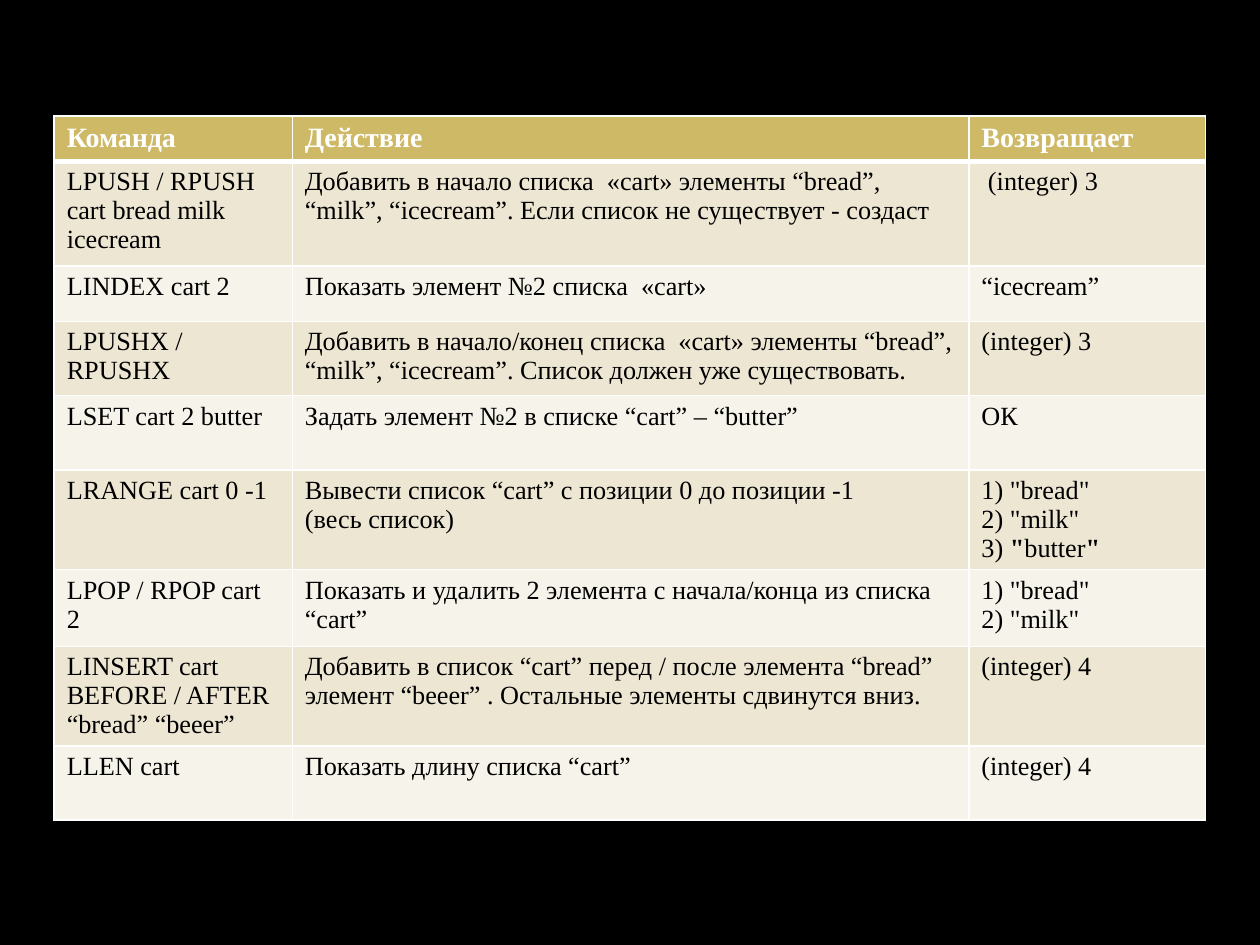
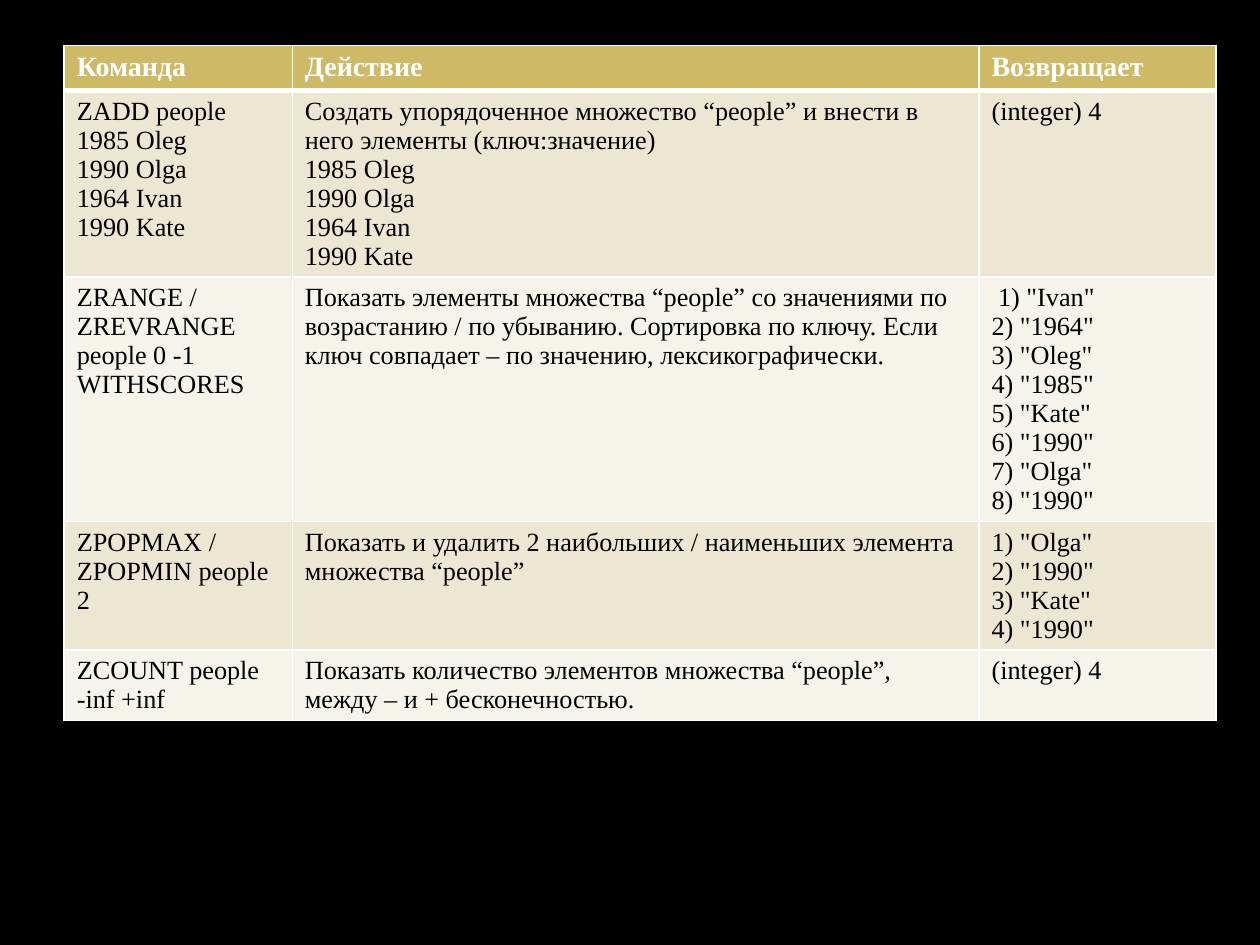
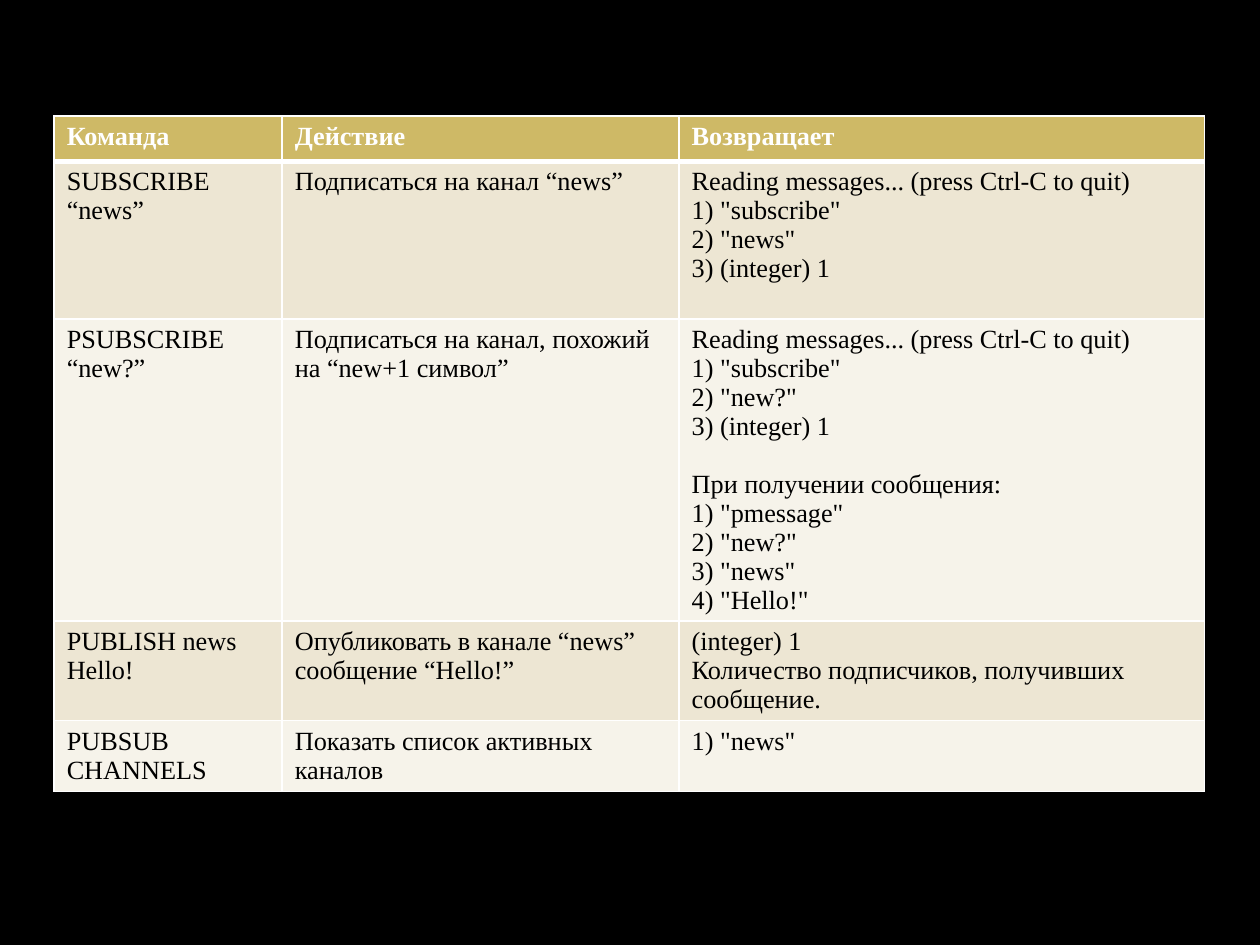
from lxml import etree
from pptx import Presentation
from pptx.dml.color import RGBColor as RGB
from pptx.oxml import parse_xml
from pptx.oxml.ns import nsdecls
from pptx.util import Inches, Pt

# Shared look
COLORS = {"bg": "000000", "header": "CEB966", "odd": "EDE6D3", "even": "F6F3EA",
          "rule": "FFFFFF", "header_text": "FFFFFF", "text": "000000"}
FONT = "Times New Roman"
BODY_SIZE = 15
HEADER = ["Команда", "Действие", "Возвращает"]


def set_borders(cell, widths):
    """Draw the left, right, top and bottom rules, widths in points."""
    tcPr = cell._tc.get_or_add_tcPr()
    for i, (side, width) in enumerate(zip("LRTB", widths)):
        tcPr.insert(i, parse_xml(
            f'<a:ln{side} {nsdecls("a")} w="{Pt(width)}"><a:solidFill>'
            f'<a:srgbClr val="{COLORS["rule"]}"/></a:solidFill></a:ln{side}>'))


def fill_cell(cell, text, size, color, bold):
    """Write one paragraph a line; *stars* mark bold, a leading ^ opens a gap."""
    tf = cell.text_frame
    for i, line in enumerate(text.split("\n")):
        p = tf.add_paragraph() if i else tf.paragraphs[0]
        p.font.name, p.font.size = FONT, Pt(size)
        p.font.color.rgb = RGB.from_string(color)
        if line.startswith("^"):
            p.space_before = Pt(16.5)
        for j, part in enumerate(line.lstrip("^").split("*")):
            if part:
                r = p.add_run()
                r.text = part
                r.font.bold = bold or j % 2 == 1


# Tables: position, header size, column widths, row heights, body rows
TABLES = [
    # List commands
    {"at": (0.43, 0.92), "header_size": 16, "cols": [1.89, 5.37, 1.88],
     "heights": [0.36, 0.83, 0.44, 0.59, 0.59, 0.79, 0.61, 0.79, 0.59],
     "rows": [
         ["LPUSH / RPUSH cart bread milk icecream",
          "Добавить в начало списка  «cart» элементы “bread”, “milk”, “icecream”. "
          "Если список не существует - создаст",
          " (integer) 3"],
         ["LINDEX cart 2", "Показать элемент №2 списка  «cart»", "“icecream”"],
         ["LPUSHX / RPUSHX",
          "Добавить в начало/конец списка  «cart» элементы “bread”, “milk”, “icecream”. "
          "Список должен уже существовать.",
          "(integer) 3"],
         ["LSET cart 2 butter", "Задать элемент №2 в списке “cart” – “butter”", "ОК"],
         ["LRANGE cart 0 -1",
          "Вывести список “cart” с позиции 0 до позиции -1\n(весь список)",
          '1) "bread"\n2) "milk"\n3) *"*butter*"*'],
         ["LPOP / RPOP cart 2",
          "Показать и удалить 2 элемента с начала/конца из списка “cart”",
          '1) "bread"\n2) "milk"'],
         ["LINSERT cart BEFORE / AFTER “bread” “beeer”",
          "Добавить в список “cart” перед / после элемента “bread” элемент “beeer” . "
          "Остальные элементы сдвинутся вниз.",
          "(integer) 4"],
         ["LLEN cart", "Показать длину списка “cart”", "(integer) 4"],
     ]},
    # Sorted set commands
    {"at": (0.51, 0.36), "header_size": 16, "cols": [1.81, 5.45, 1.88],
     "heights": [0.36, 1.48, 1.94, 1.02, 0.56],
     "rows": [
         ["ZADD people\n1985 Oleg\n1990 Olga\n1964 Ivan\n1990 Kate",
          "Создать упорядоченное множество “people” и внести в него элементы "
          "(ключ:значение)\n1985 Oleg\n1990 Olga\n1964 Ivan\n1990 Kate",
          "(integer) 4"],
         ["ZRANGE / ZREVRANGE people 0 -1 WITHSCORES",
          "Показать элементы множества “people” со значениями по возрастанию / "
          "по убыванию. Сортировка по ключу. Если ключ совпадает – по значению, "
          "лексикографически.",
          ' 1) "Ivan"\n2) "1964"\n3) "Oleg"\n4) "1985"\n'
          '5) "Kate"\n6) "1990"\n7) "Olga"\n8) "1990"'],
         ["ZPOPMAX /\nZPOPMIN people 2",
          "Показать и удалить 2 наибольших / наименьших элемента множества “people”",
          '1) "Olga"\n2) "1990"\n3) "Kate"\n4) "1990"'],
         ["ZCOUNT people -inf +inf",
          "Показать количество элементов множества “people”, между – и + бесконечностью.",
          "(integer) 4"],
     ]},
    # Publish and subscribe commands
    {"at": (0.43, 0.92), "header_size": 15, "cols": [1.81, 3.15, 4.17],
     "heights": [0.36, 1.25, 2.4, 0.79, 0.56],
     "rows": [
         ["SUBSCRIBE “news”", "Подписаться на канал “news”",
          'Reading messages... (press Ctrl-C to quit)\n'
          '1) "subscribe"\n2) "news"\n3) (integer) 1'],
         ["PSUBSCRIBE\n“new?”", "Подписаться на канал, похожий на “new+1 символ”",
          'Reading messages... (press Ctrl-C to quit)\n'
          '1) "subscribe"\n2) "new?"\n3) (integer) 1\n'
          '^При получении сообщения:\n'
          '1) "pmessage"\n2) "new?"\n3) "news"\n4) "Hello!"'],
         ["PUBLISH news Hello!", "Опубликовать в канале “news” сообщение “Hello!”",
          "(integer) 1\nКоличество подписчиков, получивших сообщение."],
         ["PUBSUB CHANNELS", "Показать список активных каналов", '1) "news"'],
     ]},
]

prs = Presentation()
prs.slide_width, prs.slide_height = Inches(10), Inches(7.5)

for spec in TABLES:
    # Black slide
    s = prs.slides.add_slide(prs.slide_layouts[6])
    s.background.fill.solid()
    s.background.fill.fore_color.rgb = RGB.from_string(COLORS["bg"])

    # Table grid
    rows = [HEADER] + spec["rows"]
    left, top = spec["at"]
    table = s.shapes.add_table(len(rows), len(HEADER), Inches(left), Inches(top),
                               Inches(sum(spec["cols"])),
                               Inches(sum(spec["heights"]))).table
    for col, width in zip(table.columns, spec["cols"]):
        col.width = Inches(width)
    for row, height in zip(table.rows, spec["heights"]):
        row.height = Inches(height)

    # Cells: gold header over alternating bands
    for i, texts in enumerate(rows):
        band = "header" if i == 0 else "odd" if i % 2 else "even"
        size = BODY_SIZE if i else spec["header_size"]
        color = COLORS["text" if i else "header_text"]
        for j, text in enumerate(texts):
            cell = table.cell(i, j)
            cell.fill.solid()
            cell.fill.fore_color.rgb = RGB.from_string(COLORS[band])
            set_borders(cell, (1, 1, 3 if i == 1 else 1, 3 if i == 0 else 1))
            fill_cell(cell, text, size, color, i == 0)

prs.save("out.pptx")
